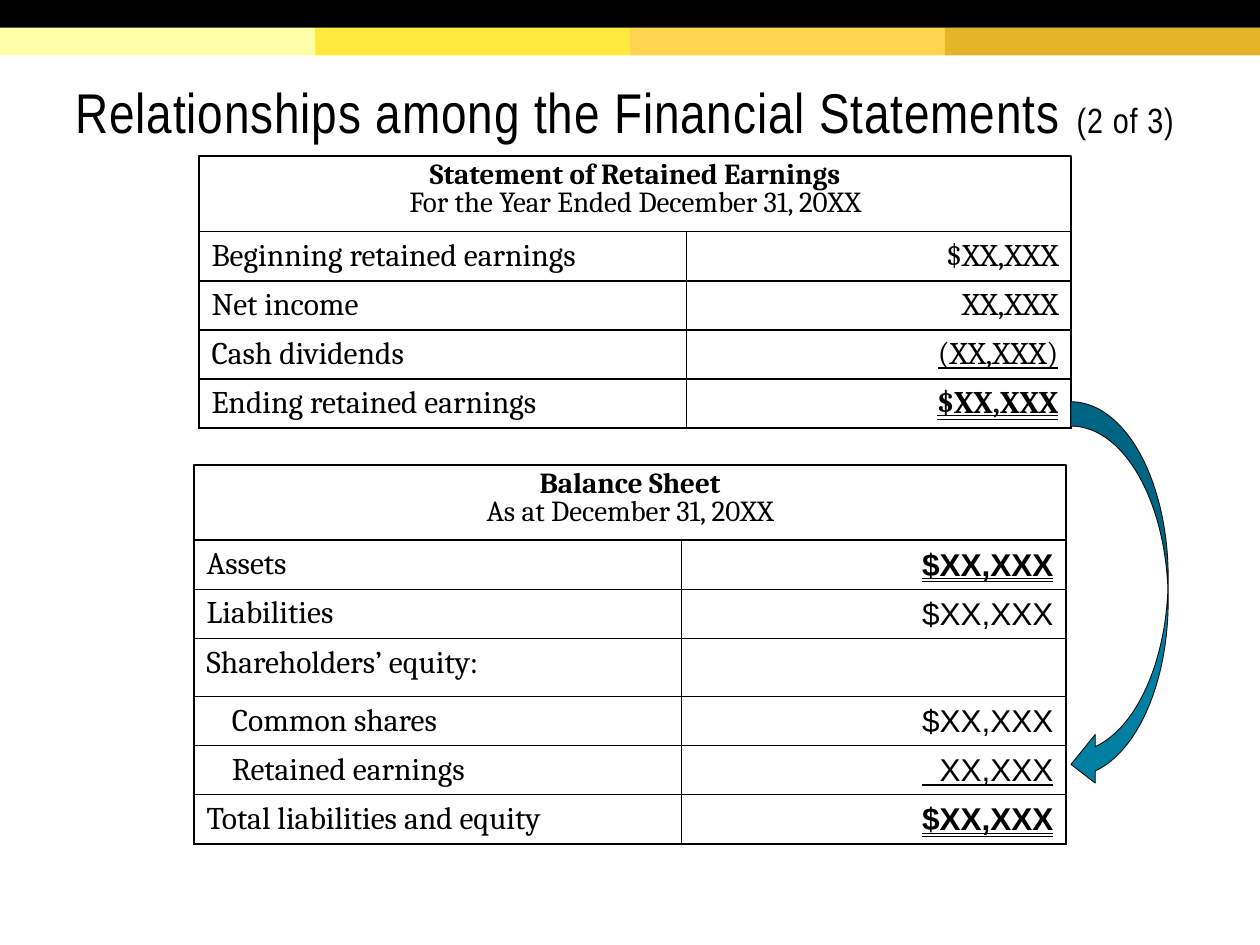
from lxml import etree
from pptx import Presentation
from pptx import util as u
from pptx.dml.color import RGBColor
from pptx.enum import shapes, text
from pptx.oxml import ns

COLOURS = {
    "black": "000000",
    "outline": "0C0C0C",
    "teal": "007FA3",
    "stripes": ["FFFFAA", "FFEA3D", "FFD54F", "E4B429"],
}
WIDTH, HEIGHT = 25.4, 19.05
BAND = 0.56
TABLE_WIDTH = 17.58
LABEL_WIDTH = 9.83
HEAD_HEIGHT = 1.52
ROW = 0.99
TALL_ROW = 1.17
INDENT = 0.51

SINGLE = text.MSO_UNDERLINE.SINGLE_LINE
DOUBLE = text.MSO_UNDERLINE.DOUBLE_LINE
TOTAL = {"bold": True, "underline": DOUBLE}

EARNINGS = [
    ("Beginning retained earnings", 0, "$XX,XXX", {}),
    ("Net income", 0, "XX,XXX", {}),
    ("Cash dividends", 0, "(XX,XXX)", {"underline": SINGLE}),
    ("Ending retained earnings", 0, "$XX,XXX", TOTAL),
]
BALANCE = [
    ("Assets", 0, "$XX,XXX", TOTAL),
    ("Liabilities", 0, "$XX,XXX", {}),
    ("Shareholders’ equity:", 0, "", {}),
    ("Common shares", INDENT, "$XX,XXX", {}),
    ("Retained earnings", INDENT, "  XX,XXX", {"underline": SINGLE}),
    ("Total liabilities and equity", 0, "$XX,XXX", TOTAL),
]


class StatementSlide:
    def __init__(self, deck):
        self.slide = deck.slides.add_slide(deck.slide_layouts[5])

    def apply(self, target, values):
        for name, value in values.items():
            setattr(target, name, value)

    def span(self, para, words, size, face, **values):
        span = para.add_run()
        span.text = words
        self.apply(span.font, {"size": u.Pt(size), "name": face, **values})
        span.font.color.rgb = RGBColor.from_string(COLOURS["black"])
        return span

    def shape(self, kind, left, top, width, height, fill=None, line=None, weight=1):
        shape = self.slide.shapes.add_shape(
            kind, u.Cm(left), u.Cm(top), u.Cm(width), u.Cm(height))
        shape.shadow.inherit = False
        if fill:
            shape.fill.solid()
            shape.fill.fore_color.rgb = RGBColor.from_string(fill)
        else:
            shape.fill.background()
        if line:
            shape.line.color.rgb = RGBColor.from_string(line)
            shape.line.width = u.Pt(weight)
        else:
            shape.line.fill.background()
        return shape

    def title(self, words, part):
        box = self.slide.shapes.title
        self.apply(box, {"left": u.Cm(1.27), "top": u.Cm(0.84),
                         "width": u.Cm(22.86), "height": u.Cm(2.9)})
        self.apply(box.text_frame, {
            "word_wrap": True, "auto_size": text.MSO_AUTO_SIZE.NONE,
            "vertical_anchor": text.MSO_ANCHOR.MIDDLE,
            "margin_left": u.Cm(0.25), "margin_right": u.Cm(0.25),
            "margin_top": u.Cm(0.25), "margin_bottom": u.Cm(0.13)})
        para = box.text_frame.paragraphs[0]
        self.apply(para, {"alignment": text.PP_ALIGN.LEFT, "line_spacing": 0.85})
        for content, size in ((words, 32), (part, 20)):
            span = self.span(para, content, size, "Arial Narrow")
            span.font._element.set("spc", "50")

    def heading(self, left, top, name, period):
        box = self.shape(shapes.MSO_SHAPE.RECTANGLE, left, top, TABLE_WIDTH,
                         HEAD_HEIGHT, line=COLOURS["black"])
        frame = box.text_frame
        self.apply(frame, {"word_wrap": True, "vertical_anchor": text.MSO_ANCHOR.TOP})
        for para, words, bold in ((frame.paragraphs[0], name, True),
                                  (frame.add_paragraph(), period, False)):
            self.apply(para, {"alignment": text.PP_ALIGN.CENTER, "line_spacing": 0.8})
            self.span(para, words, 16.6, "Cambria", bold=bold)

    def cell(self, cell, words, face, anchor, align, indent=0, **values):
        properties = cell._tc.get_or_add_tcPr()
        for side in ("a:lnL", "a:lnR", "a:lnT", "a:lnB"):
            line = etree.SubElement(properties, ns.qn(side), w=str(u.Pt(1)))
            fill = etree.SubElement(line, ns.qn("a:solidFill"))
            etree.SubElement(fill, ns.qn("a:srgbClr"), val=COLOURS["black"])
        cell.fill.background()
        cell.vertical_anchor = anchor
        para = cell.text_frame.paragraphs[0]
        para.alignment = align
        if indent:
            para._p.get_or_add_pPr().set("marL", str(u.Cm(indent)))
        if words:
            self.span(para, words, 18, face, **values)

    def table(self, left, top, rows, face):
        heights = [ROW if amount else TALL_ROW for _, _, amount, _ in rows]
        table = self.slide.shapes.add_table(
            len(rows), 2, u.Cm(left), u.Cm(top), u.Cm(TABLE_WIDTH),
            u.Cm(sum(heights))).table
        self.apply(table, {"first_row": False, "horz_banding": False})
        table.columns[0].width = u.Cm(LABEL_WIDTH)
        table.columns[1].width = u.Cm(TABLE_WIDTH - LABEL_WIDTH)
        for index, (label, indent, amount, values) in enumerate(rows):
            table.rows[index].height = u.Cm(heights[index])
            self.cell(table.cell(index, 0), label, "Cambria",
                      text.MSO_ANCHOR.TOP, text.PP_ALIGN.LEFT, indent)
            self.cell(table.cell(index, 1), amount, face,
                      text.MSO_ANCHOR.BOTTOM, text.PP_ALIGN.RIGHT, **values)

    def statement(self, left, top, name, period, rows, face):
        self.heading(left, top, name, period)
        self.table(left, top + HEAD_HEIGHT, rows, face)


def main():
    deck = Presentation()
    deck.slide_width, deck.slide_height = u.Cm(WIDTH), u.Cm(HEIGHT)
    page = StatementSlide(deck)

    stripe = WIDTH / len(COLOURS["stripes"])
    for index, colour in enumerate(COLOURS["stripes"]):
        page.shape(shapes.MSO_SHAPE.RECTANGLE, index * stripe, BAND, stripe, BAND, colour)
    page.shape(shapes.MSO_SHAPE.RECTANGLE, 0, 0, WIDTH, BAND, COLOURS["black"])

    page.title("Relationships among the Financial Statements ", "(2 of 3)")
    page.statement(4.01, 3.15, "Statement of Retained Earnings",
                   "For the Year Ended December 31, 20XX", EARNINGS, "Cambria")
    page.statement(3.91, 9.37, "Balance Sheet",
                   "As at December 31, 20XX", BALANCE, "Arial")
    page.shape(shapes.MSO_SHAPE.CURVED_LEFT_ARROW, 21.59, 8.1, 1.96, 7.8,
               COLOURS["teal"], COLOURS["outline"], 0.5)
    deck.save("out.pptx")


if __name__ == "__main__":
    main()
